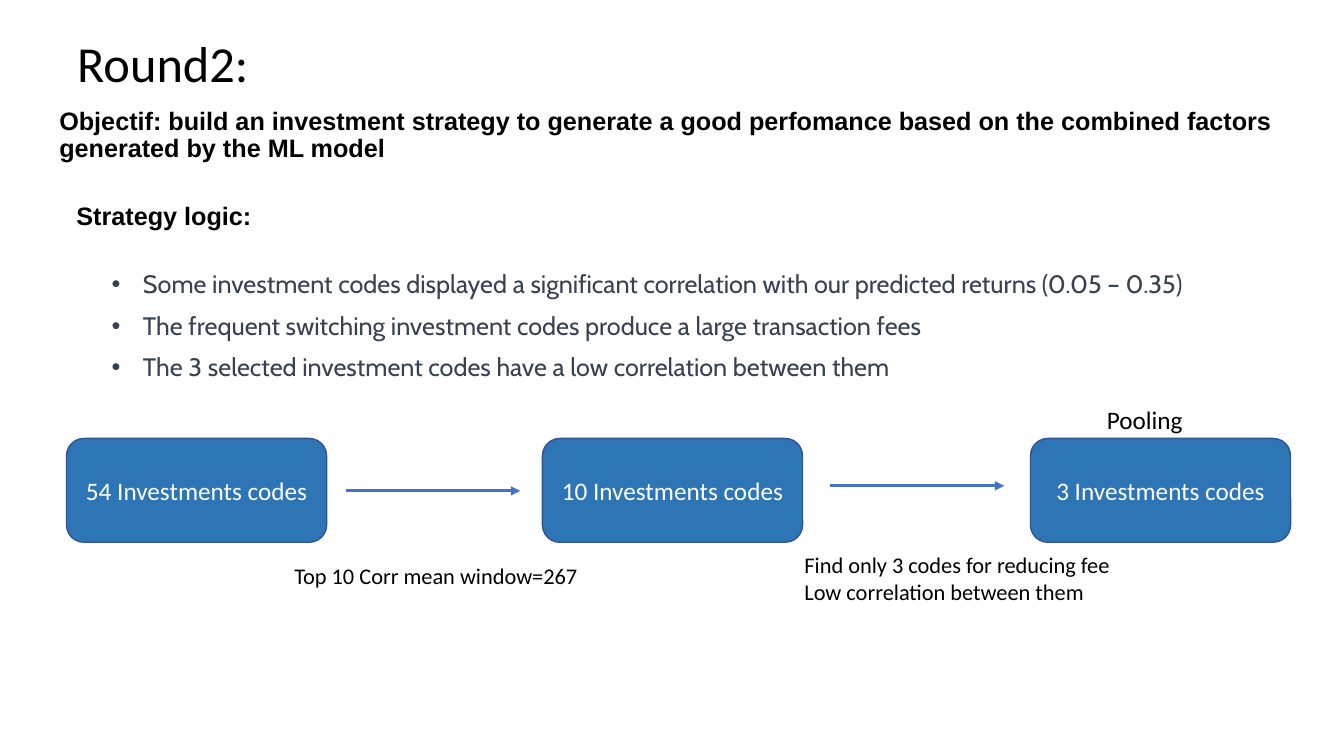
from dataclasses import dataclass

from lxml import etree
from pptx import Presentation
from pptx.dml.color import RGBColor
from pptx.enum.shapes import MSO_CONNECTOR as Connector, MSO_SHAPE as Preset
from pptx.enum.text import MSO_ANCHOR as Anchor, PP_ALIGN as Align
from pptx.oxml.ns import qn
from pptx.slide import Slide
from pptx.text.text import TextFrame
from pptx.util import Inches, Pt

COLORS = {
    "text": "000000",
    "bullet": "374151",
    "box": "2E75B6",
    "box_line": "325491",
    "box_text": "FFFFFF",
    "arrow": "4472C4",
}
BOX_TOP, BOX_WIDTH, BOX_HEIGHT = 4.35, 2.58, 1.03
ARROW_LENGTH = 1.73
BULLET_INDENT = 0.31


@dataclass(frozen=True)
class TextStyle:
    size: int
    font: str = "Calibri"
    color: str = "text"
    bold: bool = False
    align: Align = Align.LEFT
    anchor: Anchor = Anchor.TOP
    line_spacing: float = 1.0
    space_before: int = 0
    bulleted: bool = False


@dataclass(frozen=True)
class TextBlock:
    left: float
    top: float
    width: float
    height: float
    text: str
    style: TextStyle


@dataclass(frozen=True)
class Stage:
    left: float
    label: str


@dataclass(frozen=True)
class Arrow:
    left: float
    top: float


TITLE = TextStyle(36, align=Align.CENTER, anchor=Anchor.BOTTOM, line_spacing=0.9)
HEADING = TextStyle(18, "Arial", bold=True, line_spacing=0.9, space_before=10)
BULLETS = TextStyle(18, "Cabin", "bullet", line_spacing=0.9, space_before=10, bulleted=True)
CAPTION = TextStyle(16)
POOLING = TextStyle(18)
STAGE = TextStyle(18, color="box_text", align=Align.CENTER, anchor=Anchor.MIDDLE)

TEXT_BLOCKS = [
    TextBlock(0.49, 0.37, 2.25, 0.61, "Round2:", TITLE),
    TextBlock(0.66, 1.97, 12.67, 0.38, "Strategy logic:", HEADING),
    TextBlock(
        0.49, 1.03, 12.67, 0.7,
        "Objectif: build an investment strategy to generate a good perfomance "
        "based on the combined factors generated by the ML model",
        HEADING,
    ),
    TextBlock(2.82, 5.53, 3.62, 0.37, "Top 10 Corr mean window=267", CAPTION),
    TextBlock(
        7.88, 5.42, 3.62, 0.91,
        "Find only 3 codes for reducing fee\nLow correlation between them",
        CAPTION,
    ),
    TextBlock(
        1.01, 2.65, 11.32, 1.26,
        "Some investment codes displayed a significant correlation "
        "with our predicted returns (0.05 – 0.35)\n"
        "The frequent switching investment codes produce a large transaction fees\n"
        "The 3 selected investment codes have a low correlation between them",
        BULLETS,
    ),
    TextBlock(10.88, 3.96, 1.45, 0.4, "Pooling", POOLING),
]
STAGES = [
    Stage(0.66, "54 Investments codes"),
    Stage(5.38, "10 Investments codes"),
    Stage(10.22, "3 Investments codes"),
]
ARROWS = [Arrow(3.43, 4.87), Arrow(8.23, 4.82)]


def color(name: str) -> RGBColor:
    return RGBColor.from_string(COLORS[name])


def write_text(text_frame: TextFrame, text: str, style: TextStyle) -> None:
    text_frame.text = text
    text_frame.word_wrap = True
    text_frame.vertical_anchor = style.anchor
    for paragraph in text_frame.paragraphs:
        paragraph.alignment = style.align
        paragraph.line_spacing = style.line_spacing
        paragraph.space_before = Pt(style.space_before)
        if style.bulleted:
            properties = paragraph._p.get_or_add_pPr()
            properties.set("marL", str(Inches(BULLET_INDENT)))
            properties.set("indent", str(-Inches(BULLET_INDENT)))
            etree.SubElement(properties, qn("a:buFont"), typeface="Arial")
            etree.SubElement(properties, qn("a:buChar"), char="•")
        for run in paragraph.runs:
            run.font.name = style.font
            run.font.size = Pt(style.size)
            run.font.bold = style.bold
            run.font.color.rgb = color(style.color)


def add_text_block(slide: Slide, block: TextBlock) -> None:
    shape = slide.shapes.add_textbox(
        Inches(block.left), Inches(block.top), Inches(block.width), Inches(block.height)
    )
    write_text(shape.text_frame, block.text, block.style)


def add_stage(slide: Slide, stage: Stage) -> None:
    shape = slide.shapes.add_shape(
        Preset.ROUNDED_RECTANGLE,
        Inches(stage.left), Inches(BOX_TOP), Inches(BOX_WIDTH), Inches(BOX_HEIGHT),
    )
    shape.shadow.inherit = False
    shape.fill.solid()
    shape.fill.fore_color.rgb = color("box")
    shape.line.color.rgb = color("box_line")
    shape.line.width = Pt(1)
    write_text(shape.text_frame, stage.label, STAGE)


def add_arrow(slide: Slide, arrow: Arrow) -> None:
    connector = slide.shapes.add_connector(
        Connector.STRAIGHT,
        Inches(arrow.left), Inches(arrow.top),
        Inches(arrow.left + ARROW_LENGTH), Inches(arrow.top),
    )
    connector.line.color.rgb = color("arrow")
    connector.line.width = Pt(2.25)
    etree.SubElement(connector.line._get_or_add_ln(), qn("a:tailEnd"), type="triangle")
    etree.SubElement(connector._element.spPr, qn("a:effectLst"))


presentation = Presentation()
presentation.slide_width = Inches(13.33)
presentation.slide_height = Inches(7.5)
slide = presentation.slides.add_slide(presentation.slide_layouts[6])
for stage in STAGES:
    add_stage(slide, stage)
for arrow in ARROWS:
    add_arrow(slide, arrow)
for block in TEXT_BLOCKS:
    add_text_block(slide, block)
presentation.save("out.pptx")
